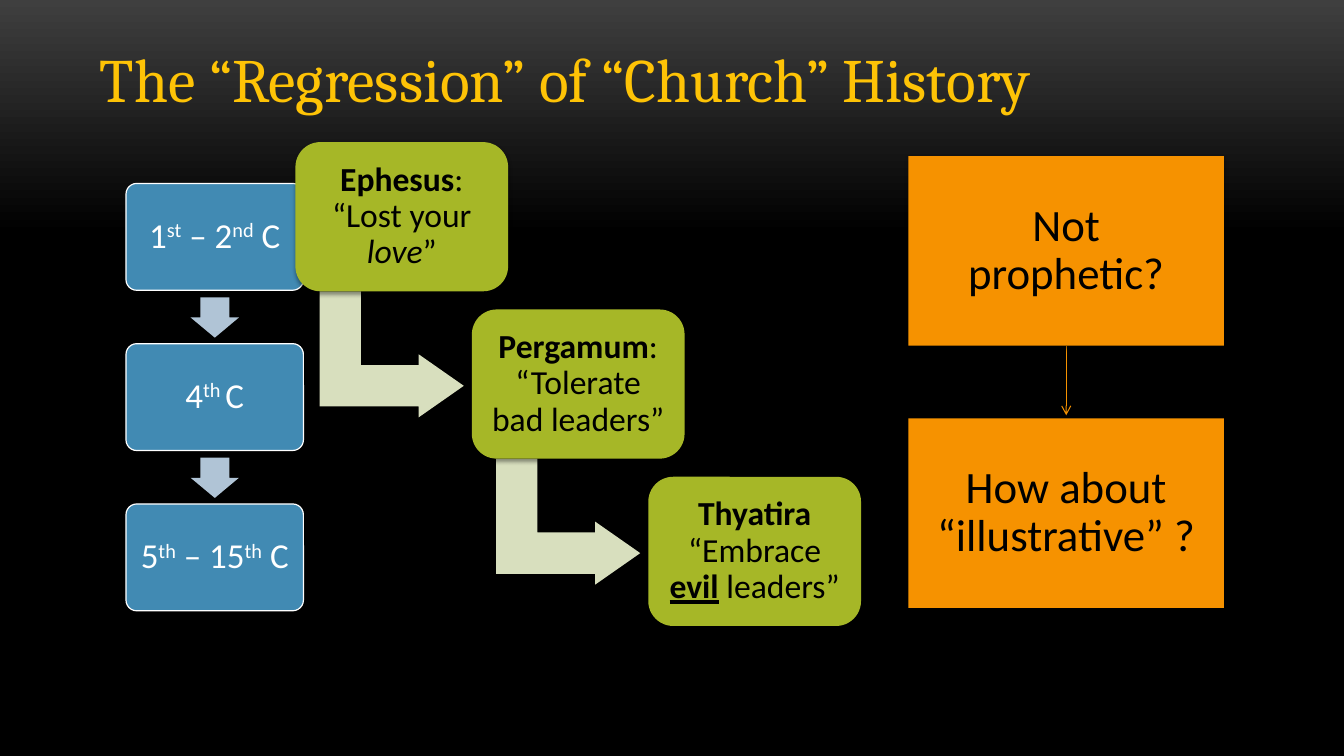
from lxml import etree
from pptx import Presentation
from pptx.dml.color import RGBColor
from pptx.enum.shapes import MSO_CONNECTOR, MSO_SHAPE
from pptx.enum.text import MSO_ANCHOR, MSO_AUTO_SIZE, PP_ALIGN
from pptx.oxml.ns import qn
from pptx.util import Inches, Pt

ROUNDED = MSO_SHAPE.ROUNDED_RECTANGLE
RECTANGLE = MSO_SHAPE.RECTANGLE
RIGHT_ARROW = MSO_SHAPE.RIGHT_ARROW
BENT_ARROW = MSO_SHAPE.BENT_UP_ARROW
STRAIGHT = MSO_CONNECTOR.STRAIGHT
MIDDLE, BOTTOM = MSO_ANCHOR.MIDDLE, MSO_ANCHOR.BOTTOM
CENTER, LEFT = PP_ALIGN.CENTER, PP_ALIGN.LEFT
NO_AUTOFIT = MSO_AUTO_SIZE.NONE

TITLE = "The “Regression” of “Church” History"
CENTURIES = [
    [("1", ""), ("st", "super"), (" – 2", ""), ("nd", "super"), (" C", "")],
    [("4", ""), ("th ", "super"), ("C", "")],
    [("5", ""), ("th", "super"), (" – 15", ""), ("th", "super"), (" C", "")],
]
CHURCHES = [
    [("Ephesus", "bold"), (": “Lost your ", ""), ("love", "italic"), ("”", "")],
    [("Pergamum", "bold"), (": “Tolerate bad leaders”", "")],
    [("Thyatira", "bold"), (" “Embrace ", ""), ("evil", "bold underline"), (" leaders”", "")],
]
VIEWS = [
    [("Not prophetic?", "")],
    [("How about “illustrative” ?", "")],
]
BLACK, WHITE, GOLD = "000000", "FFFFFF", "FEC306"
BLUE, PALE_BLUE = "418AB3", "B0C4D6"
GREEN, PALE_GREEN, ORANGE = "A6B727", "D8DFBE", "F69200"

CENTURY_LEFT, CENTURY_TOP, CENTURY_STEP = 1.25, 1.82, 1.59
CENTURY_WIDTH, CENTURY_HEIGHT = 1.76, 1.06
CHURCH_LEFT, CHURCH_TOP = 2.93, 1.41
CHURCH_STEP_X, CHURCH_STEP_Y = 1.75, 1.66
VIEW_LEFT, VIEW_TOP, VIEW_STEP = 9.01, 1.55, 2.6
VIEW_WIDTH, VIEW_HEIGHT = 3.13, 1.88


def color(hex_value):
    return RGBColor.from_string(hex_value)


def add_shadow(shape):
    effects = shape._element.spPr.find(qn("a:effectLst"))
    shadow = etree.SubElement(effects, qn("a:outerShdw"), blurRad=str(Pt(3)),
                              dist=str(Pt(2)), dir="5400000", rotWithShape="0")
    shade = etree.SubElement(shadow, qn("a:srgbClr"), val=BLACK)
    etree.SubElement(shade, qn("a:alpha"), val="40000")


def add_block(slide, preset, box, fill, adjustments=(), rotation=0, outline=None, shadow=False):
    shape = slide.shapes.add_shape(preset, *[Inches(length) for length in box])
    for index, value in enumerate(adjustments):
        shape.adjustments[index] = value
    shape.rotation = rotation
    shape.fill.solid()
    shape.fill.fore_color.rgb = color(fill)
    if outline:
        shape.line.color.rgb = color(outline)
        shape.line.width = Pt(0.85)
    else:
        shape.line.fill.background()
    shape.shadow.inherit = False
    if shadow:
        add_shadow(shape)
    return shape


def write_text(shape, runs, size, text_color, margin):
    frame = shape.text_frame
    frame.word_wrap = True
    frame.vertical_anchor = MIDDLE
    frame.margin_left = frame.margin_right = Inches(margin)
    frame.margin_top = frame.margin_bottom = Inches(margin)
    paragraph = frame.paragraphs[0]
    paragraph.alignment = CENTER
    paragraph.line_spacing = 0.9
    paragraph.font.name = "Calibri"
    paragraph.font.size = Pt(size)
    paragraph.font.color.rgb = color(text_color)
    for text, style in runs:
        run = paragraph.add_run()
        run.text = text
        if "bold" in style:
            run.font.bold = True
        if "italic" in style:
            run.font.italic = True
        if "underline" in style:
            run.font.underline = True
        if "super" in style:
            run.font._element.set("baseline", "30000")


def set_background(slide):
    fill = slide.background.fill
    fill.gradient()
    fill.gradient_angle = 270
    for stop, (position, shade) in zip(fill.gradient_stops, [(0, "3F3F3F"), (0.31, BLACK)]):
        stop.position = position
        stop.color.rgb = color(shade)


def add_title(slide):
    title = slide.shapes.title
    title.left, title.top = Inches(0.89), Inches(0.3)
    title.width, title.height = Inches(11.56), Inches(0.89)
    frame = title.text_frame
    frame.text = TITLE
    frame.word_wrap = True
    frame.auto_size = NO_AUTOFIT
    frame.vertical_anchor = BOTTOM
    paragraph = frame.paragraphs[0]
    paragraph.alignment = LEFT
    paragraph.font.name = "Cambria"
    paragraph.font.size = Pt(44)
    paragraph.font.color.rgb = color(GOLD)


def add_centuries(slide):
    for index, runs in enumerate(CENTURIES):
        top = CENTURY_TOP + index * CENTURY_STEP
        box = (CENTURY_LEFT, top, CENTURY_WIDTH, CENTURY_HEIGHT)
        block = add_block(slide, ROUNDED, box, BLUE, [0.1], outline=WHITE)
        write_text(block, runs, 25, WHITE, 0.1)
        if index < len(CENTURIES) - 1:
            arrow = (CENTURY_LEFT + 0.68, top + 1.09, 0.4, 0.48)
            add_block(slide, RIGHT_ARROW, arrow, PALE_BLUE, [0.6, 0.5], rotation=90)


def add_churches(slide):
    for index, runs in enumerate(CHURCHES):
        left = CHURCH_LEFT + index * CHURCH_STEP_X
        top = CHURCH_TOP + index * CHURCH_STEP_Y
        if index < len(CHURCHES) - 1:
            add_block(slide, BENT_ARROW, (left + 0.33, top + 1.39, 1.25, 1.43), PALE_GREEN,
                      [0.328, 0.25, 0.358], rotation=90, shadow=True)
        block = add_block(slide, ROUNDED, (left, top, 2.11, 1.48), GREEN, [0.167], shadow=True)
        write_text(block, runs, 24, BLACK, 0.1)


def add_views(slide):
    center = Inches(VIEW_LEFT + VIEW_WIDTH / 2)
    start = VIEW_TOP + VIEW_HEIGHT
    connector = slide.shapes.add_connector(STRAIGHT, center, Inches(start),
                                           center, Inches(start + 0.69))
    connector.line.color.rgb = color(ORANGE)
    connector.line.width = Pt(0.75)
    etree.SubElement(connector.line._get_or_add_ln(), qn("a:tailEnd"), type="arrow")
    etree.SubElement(connector._element.spPr, qn("a:effectLst"))
    for index, runs in enumerate(VIEWS):
        box = (VIEW_LEFT, VIEW_TOP + index * VIEW_STEP, VIEW_WIDTH, VIEW_HEIGHT)
        block = add_block(slide, RECTANGLE, box, ORANGE, shadow=True)
        write_text(block, runs, 32, BLACK, 0.25)


def main():
    presentation = Presentation()
    presentation.slide_width = Inches(13.33)
    presentation.slide_height = Inches(7.5)
    slide = presentation.slides.add_slide(presentation.slide_layouts[5])
    set_background(slide)
    add_title(slide)
    add_centuries(slide)
    add_churches(slide)
    add_views(slide)
    presentation.save("out.pptx")


if __name__ == "__main__":
    main()
